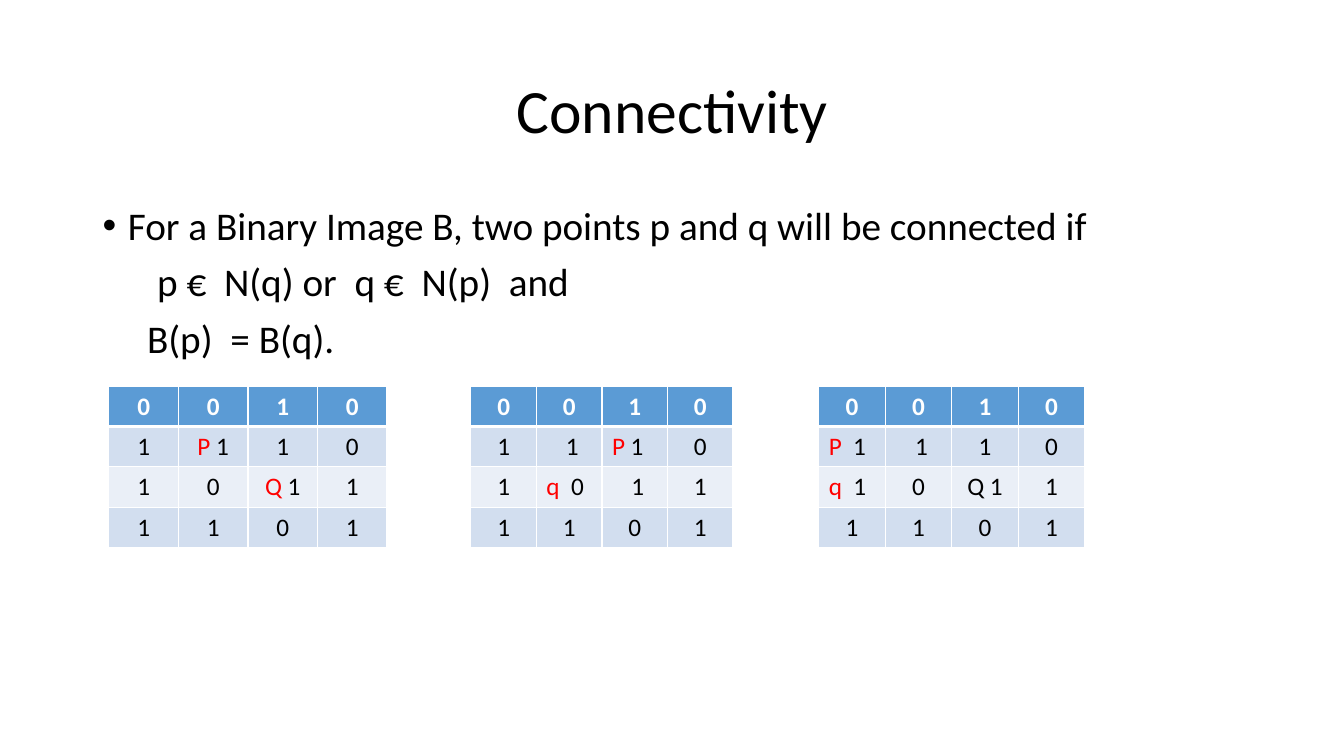
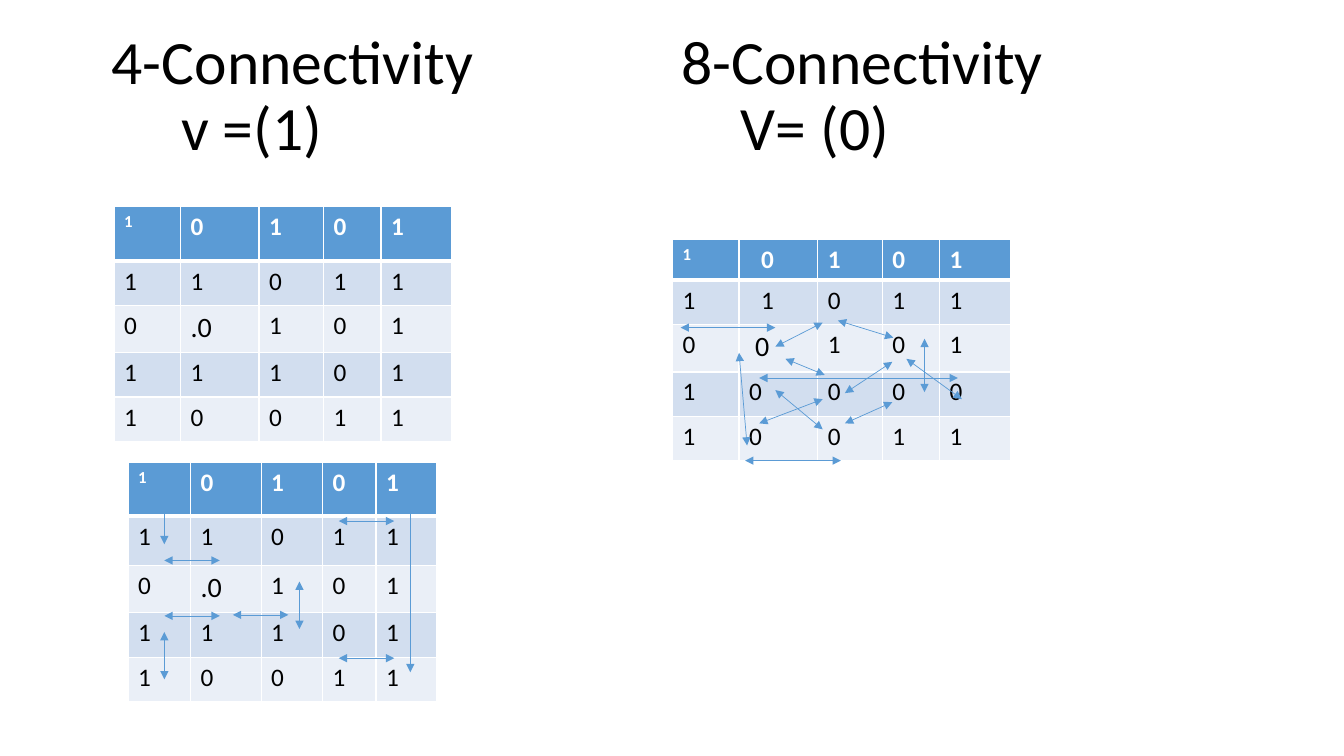
from lxml import etree
from pptx import Presentation
from pptx.dml.color import RGBColor
from pptx.enum.shapes import MSO_CONNECTOR
from pptx.enum.text import MSO_ANCHOR, PP_ALIGN
from pptx.oxml.ns import qn
from pptx.util import Inches, Pt

LEFT, CENTER = PP_ALIGN.LEFT, PP_ALIGN.CENTER
TOP, MIDDLE = MSO_ANCHOR.TOP, MSO_ANCHOR.MIDDLE
STRAIGHT = MSO_CONNECTOR.STRAIGHT

BLACK = RGBColor(0, 0, 0)
WHITE = RGBColor(255, 255, 255)
RED = RGBColor(255, 0, 0)
BLUE = RGBColor(0x5B, 0x9B, 0xD5)
DARK = RGBColor(0xD2, 0xDE, 0xEF)
PALE = RGBColor(0xEA, 0xEF, 0xF7)

FONT = "Calibri"
TITLE = {"size": Pt(44), "name": FONT}
BODY = {"size": Pt(28), "name": FONT}
CELL = {"size": Pt(18), "name": FONT}
SPACE = 0.06  # width of one leading space in a cell

# Slide 1: (text, left indent, bullet)
POINTS = [
    ("For a Binary Image B, two points p and q will be connected if", 0.25, "•"),
    ("p €  N(q) or  q €  N(p)  and", 0.54, None),
    ("B(p)  = B(q).", 0.44, None),
]
# Letters in "red" are coloured; "mark" aligns the cells that hold them
SMALL = [
    {"x": 1.08, "width": 0.69, "red": "PQ", "mark": CENTER,
     "grid": ["0|0|1|0", "1|P 1|1|0", "1|0|Q 1|1", "1|1|0|1"]},
    {"x": 4.67, "width": 0.65, "red": "Pq", "mark": LEFT,
     "grid": ["0|0|1|0", "1| 1|P 1|0", "1|q  0| 1|1", "1|1|0|1"]},
    {"x": 8.12, "width": 0.66, "red": "Pq", "mark": LEFT,
     "grid": ["0|0|1|0", "P  1| 1|1|0", "q  1|0|Q 1|1", "1|1|0|1"]},
]

# Slide 2: (box left, lines with indents)
HEADS = [
    (1.01, [("4-Connectivity", 0), ("v =(1)", 0.69)]),
    (6.66, [("8-Connectivity", 0), ("V= (0)", 0.59)]),
]
FOUR = ["1|0|1|0|1", "1|1|0|1|1", "0|.0|1|0|1", "1|1|1|0|1", "1|0|0|1|1"]
EIGHT = ["1|  0|1|0|1", "1|  1|0|1|1", "0| 0|1|0|1", "1|0|0|0|0", "1|0|0|1|1"]
WIDE = [0.66, 0.78, 0.64, 0.57, 0.7]
LARGE = [
    (1.13, 2.05, WIDE, [0.54, 0.44, 0.47, 0.44, 0.44], FOUR),
    (1.27, 4.59, [0.62, 0.7, 0.61, 0.53, 0.6], [0.53, 0.49, 0.47, 0.44, 0.44], FOUR),
    (6.67, 2.38, WIDE, [0.4, 0.44, 0.47, 0.44, 0.44], EIGHT),
]
SIZES = {(0, 0): Pt(12), (2, 1): Pt(20)}
ARROWS = [
    # 4-connected pairs
    (1.63, 4.93, 1.63, 5.4), (1.63, 5.56, 2.18, 5.56), (1.63, 6.27, 1.63, 6.74),
    (1.63, 6.11, 2.18, 6.11), (2.31, 6.1, 2.86, 6.1), (4.07, 4.86, 4.07, 6.67),
    (3.36, 6.53, 3.91, 6.53), (3.36, 5.17, 3.91, 5.17), (2.97, 5.77, 2.97, 6.24),
    # 8-connected pairs
    (7.39, 4.57, 8.34, 4.57), (6.75, 3.25, 7.69, 3.25), (7.53, 3.75, 9.5, 3.75),
    (9.17, 3.36, 9.17, 3.89), (7.69, 3.44, 8.16, 3.2), (7.79, 3.56, 8.18, 3.72),
    (7.69, 3.87, 8.16, 4.26), (7.53, 4.2, 8.16, 3.96), (8.38, 3.9, 8.85, 3.59),
    (8.99, 3.56, 9.54, 3.96), (7.33, 3.5, 7.41, 4.42), (8.31, 3.18, 8.86, 3.35),
    (8.38, 4.2, 8.85, 3.99),
]


def add_run(para, text, fmt, color=BLACK):
    run = para.add_run()
    run.text = text
    for key, value in fmt.items():
        setattr(run.font, key, value)
    run.font.color.rgb = color


def indent(para, left, first=0):
    props = para._p.get_or_add_pPr()
    props.set("marL", str(Inches(left)))
    props.set("indent", str(Inches(first)))
    return props


def add_text(slide, box, lines, fmt, anchor=TOP, align=LEFT, gap=0):
    """Each line is (text, left indent) or (text, left indent, bullet)."""
    frame = slide.shapes.add_textbox(*map(Inches, box)).text_frame
    frame.word_wrap = True
    frame.vertical_anchor = anchor
    for i, (text, left, *bullet) in enumerate(lines):
        para = frame.add_paragraph() if i else frame.paragraphs[0]
        mark = bullet[0] if bullet else None
        props = indent(para, left, -left if mark else 0)
        if mark:
            etree.SubElement(props, qn("a:buFont"), typeface="Arial")
            etree.SubElement(props, qn("a:buChar"), char=mark)
        para.alignment = align
        para.line_spacing = 0.9
        if i and gap:
            para.space_before = Pt(gap)
        add_run(para, text, fmt)


def add_edges(cell, row):
    props = cell._tc.get_or_add_tcPr()
    thick = {(0, "B"), (1, "T")}
    for side in "LRTB":
        width = Pt(3 if (row, side) in thick else 1)
        line = etree.SubElement(props, qn("a:ln" + side), w=str(width))
        fill = etree.SubElement(line, qn("a:solidFill"))
        etree.SubElement(fill, qn("a:srgbClr"), val=str(WHITE))


def add_grid(slide, x, y, cols, rows, grid, align=LEFT, red="", mark=LEFT, sizes=None):
    box = map(Inches, (x, y, sum(cols), sum(rows)))
    table = slide.shapes.add_table(len(rows), len(cols), *box).table
    for parts, key, values in ((table.columns, "width", cols), (table.rows, "height", rows)):
        for part, value in zip(parts, values):
            setattr(part, key, Inches(value))
    for r, row in enumerate(grid):
        for c, raw in enumerate(row.split("|")):
            cell = table.cell(r, c)
            add_edges(cell, r)
            cell.fill.solid()
            cell.fill.fore_color.rgb = BLUE if r == 0 else DARK if r % 2 else PALE
            text = raw.lstrip()
            para = cell.text_frame.paragraphs[0]
            if text != raw:
                indent(para, SPACE * (len(raw) - len(text)))
            fmt = {**CELL, "bold": r == 0}
            fmt["size"] = (sizes or {}).get((r, c), CELL["size"])
            marked = text[0] in red
            para.alignment = mark if marked else align
            if marked:
                add_run(para, text[0], fmt, RED)
                text = text[1:]
            add_run(para, text, fmt, BLACK if r else WHITE)


def add_arrow(slide, ends):
    arrow = slide.shapes.add_connector(STRAIGHT, *map(Inches, ends))
    arrow.line.color.rgb = BLUE
    arrow.line.width = Pt(0.5)
    line = arrow.line._get_or_add_ln()
    for end in ("headEnd", "tailEnd"):
        etree.SubElement(line, qn("a:" + end), type="triangle")
    etree.SubElement(arrow._element.spPr, qn("a:effectLst"))


def main():
    deck = Presentation()
    deck.slide_width, deck.slide_height = Inches(13.33), Inches(7.5)
    first, second = (deck.slides.add_slide(deck.slide_layouts[6]) for _ in range(2))

    # Definition and three small grids
    add_text(first, (0.92, 0.4, 11.5, 1.45), [("Connectivity", 0)], TITLE, MIDDLE, CENTER)
    add_text(first, (0.92, 2, 11.5, 1.75), POINTS, BODY, gap=10)
    for item in SMALL:
        add_grid(first, item["x"], 3.83, [item["width"]] * 4, [0.4] * 4,
                 item["grid"], CENTER, item["red"], item["mark"])

    # Two kinds of connectivity, side by side
    for x, lines in HEADS:
        add_text(second, (x, 0.24, 5, 1.45), lines, TITLE, MIDDLE)
    for item in LARGE:
        add_grid(second, *item, sizes=SIZES)
    for ends in ARROWS:
        add_arrow(second, ends)

    deck.save("out.pptx")


if __name__ == "__main__":
    main()
